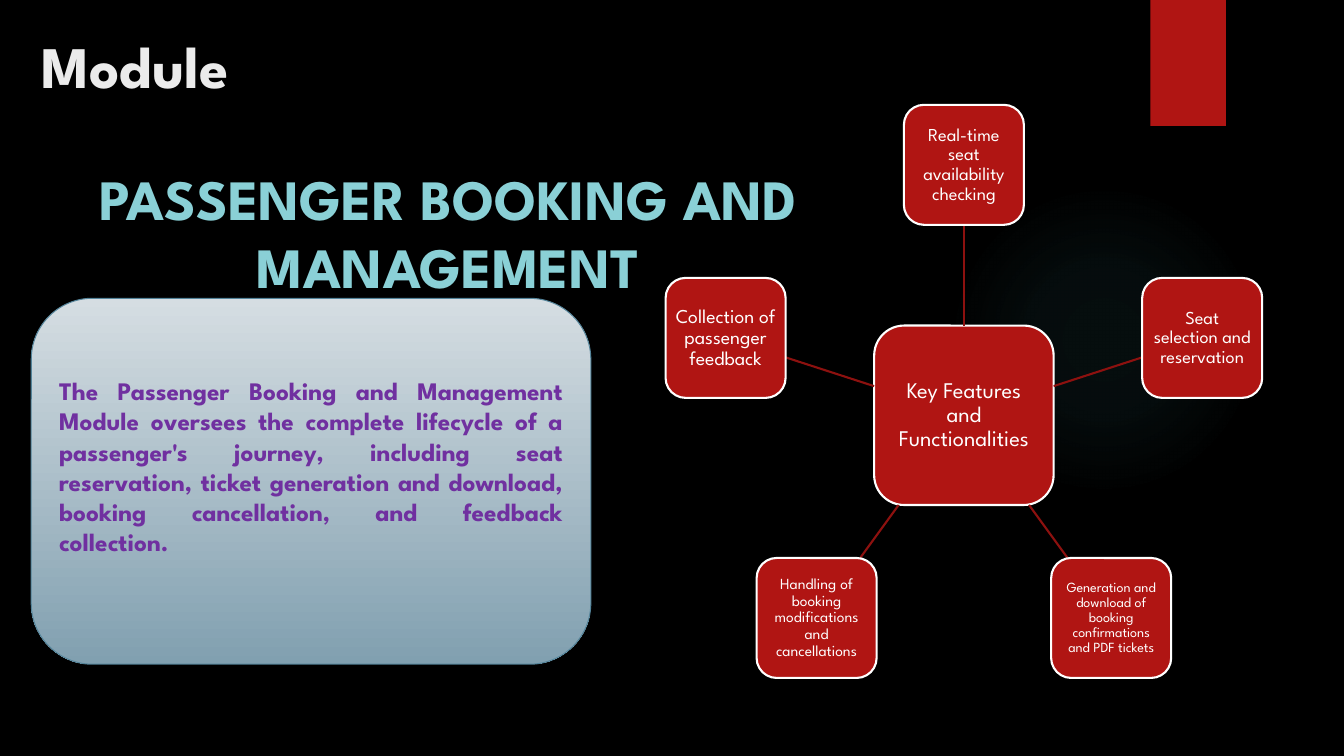
import math
from dataclasses import dataclass

import pptx
import pptx.dml.color
import pptx.enum.shapes
import pptx.enum.text
import pptx.oxml
import pptx.oxml.ns
import pptx.util

Inches = pptx.util.Inches
Pt = pptx.util.Pt
Shape = pptx.enum.shapes.MSO_SHAPE
Align = pptx.enum.text.PP_ALIGN
Anchor = pptx.enum.text.MSO_ANCHOR
A_NS = pptx.oxml.ns.nsdecls("a")

FONT = "League Spartan"
RED, WHITE, WINE = "B01513", "FFFFFF", "8D110F"
HUB_X, HUB_Y, HUB_SIZE = 9.56, 4.12, 1.78
NODE_SIZE, ORBIT = 1.19, 2.485


@dataclass
class Node:
    text: str
    size: float
    inset: float = 0.04


@dataclass
class Stop:
    pos: int
    color: str
    alpha: int = 100


# Clockwise from the top
FEATURES = [
    Node("Real-time seat availability checking", 13),
    Node("Seat selection and reservation", 13),
    Node("Generation and download of booking confirmations and PDF tickets", 10, 0.03),
    Node("Handling of booking modifications and cancellations", 11, 0.03),
    Node("Collection of passenger feedback", 14),
]


def rgb(color: str):
    return pptx.dml.color.RGBColor.from_string(color)


def add_box(slide, kind, left: float, top: float, width: float, height: float,
            fill: str = "", line: str = "", weight: float = 1):
    box = slide.shapes.add_shape(
        kind, Inches(left), Inches(top), Inches(width), Inches(height))
    box.shadow.inherit = False
    if fill:
        box.fill.solid()
        box.fill.fore_color.rgb = rgb(fill)
    if line:
        box.line.color.rgb = rgb(line)
        box.line.width = Pt(weight)
    else:
        box.line.fill.background()
    return box


def shade(box, stops: list[Stop], course: str) -> None:
    """Fill the box with a gradient; course is its a:lin or a:path element."""
    marks = "".join(
        f'<a:gs pos="{s.pos * 1000}"><a:srgbClr val="{s.color}">'
        f'<a:alpha val="{s.alpha * 1000}"/></a:srgbClr></a:gs>' for s in stops)
    grad = pptx.oxml.parse_xml(
        f'<a:gradFill {A_NS} rotWithShape="1"><a:gsLst>{marks}</a:gsLst>'
        f'{course}</a:gradFill>')
    box.fill.background()
    old = box._element.spPr.find(pptx.oxml.ns.qn("a:noFill"))
    old.getparent().replace(old, grad)


def write(box, text: str, size: float, color: str, align, anchor,
          bold: bool = False):
    """Set the text of the box and return its paragraph."""
    frame = box.text_frame
    frame.text = text
    frame.word_wrap = True
    frame.vertical_anchor = anchor
    para = frame.paragraphs[0]
    para.alignment = align
    font = para.runs[0].font
    font.name, font.size, font.bold = FONT, Pt(size), bold
    font.color.rgb = rgb(color)
    return para


def add_label(slide, left: float, top: float, width: float, height: float,
              text: str, size: float, color: str, align, anchor):
    box = slide.shapes.add_textbox(
        Inches(left), Inches(top), Inches(width), Inches(height))
    return write(box, text, size, color, align, anchor, True)


def add_node(slide, node: Node, x: float, y: float, side: float):
    """Draw a rounded square centred on x, y."""
    box = add_box(slide, Shape.ROUNDED_RECTANGLE, x - side / 2, y - side / 2,
                  side, side, RED, WHITE, 1.5)
    frame = box.text_frame
    frame.margin_left = frame.margin_right = Inches(node.inset)
    frame.margin_top = frame.margin_bottom = Inches(node.inset)
    para = write(box, node.text, node.size, WHITE, Align.CENTER, Anchor.MIDDLE)
    para.line_spacing = 0.9
    return box


def add_spoke(slide, start: tuple[float, float], end: tuple[float, float]):
    spoke = slide.shapes.add_connector(
        pptx.enum.shapes.MSO_CONNECTOR.STRAIGHT,
        *[Inches(v) for v in (*start, *end)])
    spoke.line.color.rgb = rgb(WINE)
    spoke.line.width = Pt(1.5)
    spoke._element.spPr.append(pptx.oxml.parse_xml(f"<a:effectLst {A_NS}/>"))
    return spoke


def add_wheel(slide) -> None:
    """Draw the hub and the features spaced evenly around it."""
    hub = add_node(slide, Node("Key Features and Functionalities", 16),
                   HUB_X, HUB_Y, HUB_SIZE)
    for i, node in enumerate(FEATURES):
        turn = math.radians(360 / len(FEATURES) * i - 90)
        dx, dy = math.cos(turn), math.sin(turn)
        reach = 2 * max(abs(dx), abs(dy))
        near, far = HUB_SIZE / reach, ORBIT - NODE_SIZE / reach
        spoke = add_spoke(slide, (HUB_X + near * dx, HUB_Y + near * dy),
                          (HUB_X + far * dx, HUB_Y + far * dy))
        box = add_node(slide, node, HUB_X + ORBIT * dx, HUB_Y + ORBIT * dy,
                       NODE_SIZE)
        if i == 0:
            spoke.begin_connect(hub, 0)
            spoke.end_connect(box, 2)


def main() -> None:
    deck = pptx.Presentation()
    deck.slide_width, deck.slide_height = Inches(13.33), Inches(7.5)
    slide = deck.slides.add_slide(deck.slide_layouts[6])
    slide.background.fill.solid()
    slide.background.fill.fore_color.rgb = rgb("000000")

    glow = add_box(slide, Shape.OVAL, 9.41, 1.83, 3.08, 3.08)
    shade(glow, [Stop(0, "50B9C1", 7), Stop(36, "50B9C1", 6), Stop(69, "50B9C1", 0)],
          '<a:path path="circle"><a:fillToRect l="50000" t="50000" '
          'r="50000" b="50000"/></a:path>')
    add_box(slide, Shape.RECTANGLE, 11.41, 0, 0.75, 1.25, RED)

    title = add_label(slide, 0.59, 1.57, 7.71, 1.32,
                      "PASSENGER BOOKING AND MANAGEMENT", 40.7, "8AD0D6",
                      Align.CENTER, Anchor.TOP)
    title.space_before = Pt(10)
    add_label(slide, 0.31, 0.26, 2.51, 0.78, "Module", 42, "EBEBEB",
              Align.LEFT, Anchor.BOTTOM)

    card = add_box(slide, Shape.ROUNDED_RECTANGLE, 0.31, 2.96, 5.55, 3.63,
                   line="54849A", weight=0.75)
    shade(card, [Stop(0, "D5DDE2"), Stop(100, "81A0B0")],
          '<a:lin ang="5400000" scaled="0"/>')
    write(card, "The Passenger Booking and Management Module oversees the "
          "complete lifecycle of a passenger's journey, including seat "
          "reservation, ticket generation and download, booking cancellation, "
          "and feedback collection.", 18, "7030A0", Align.JUSTIFY,
          Anchor.MIDDLE, True)
    card.text_frame.margin_bottom = Inches(0.35)

    add_wheel(slide)
    deck.save("out.pptx")


if __name__ == "__main__":
    main()
